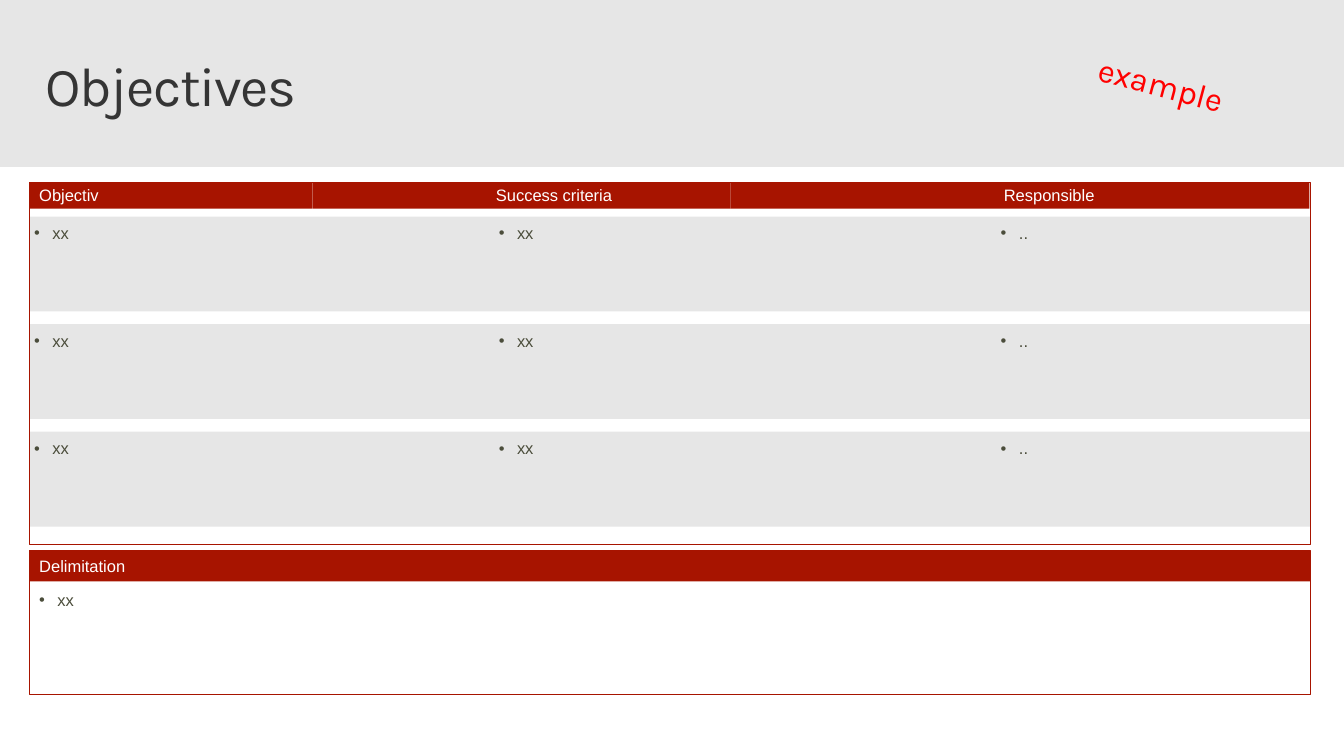
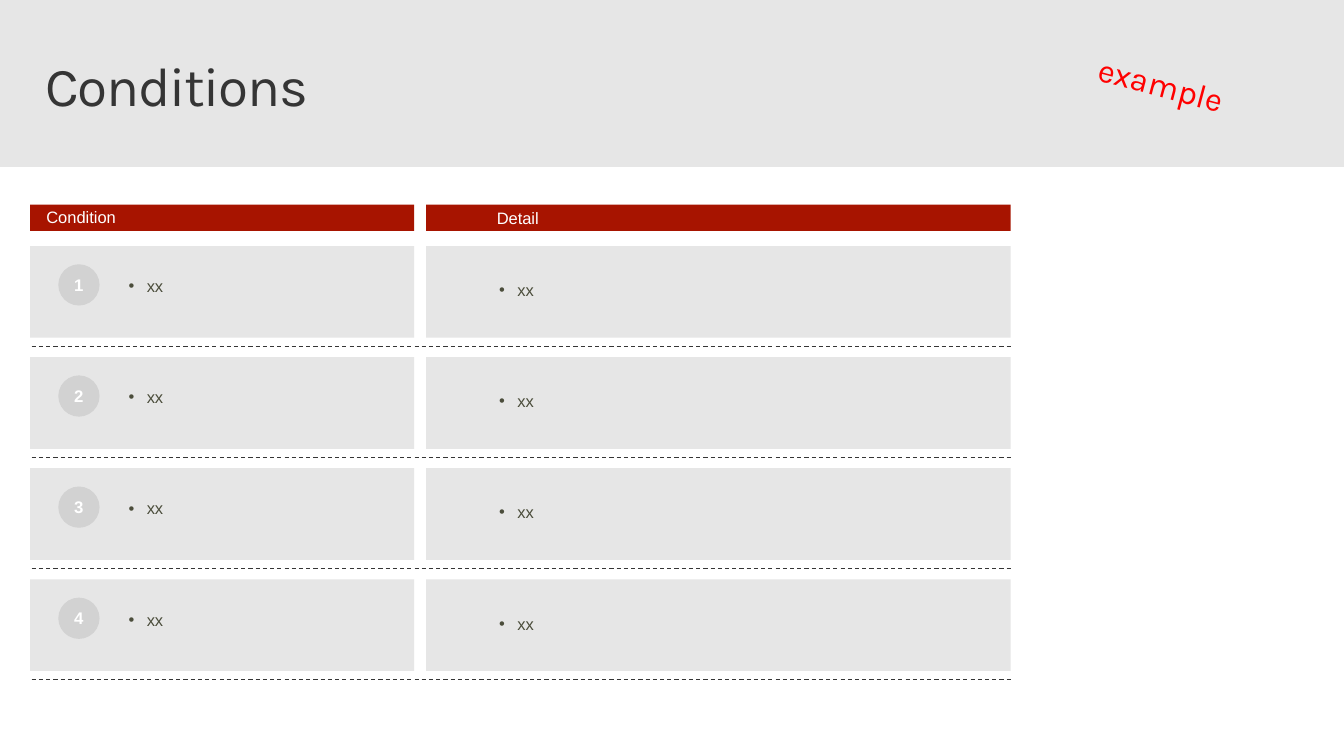
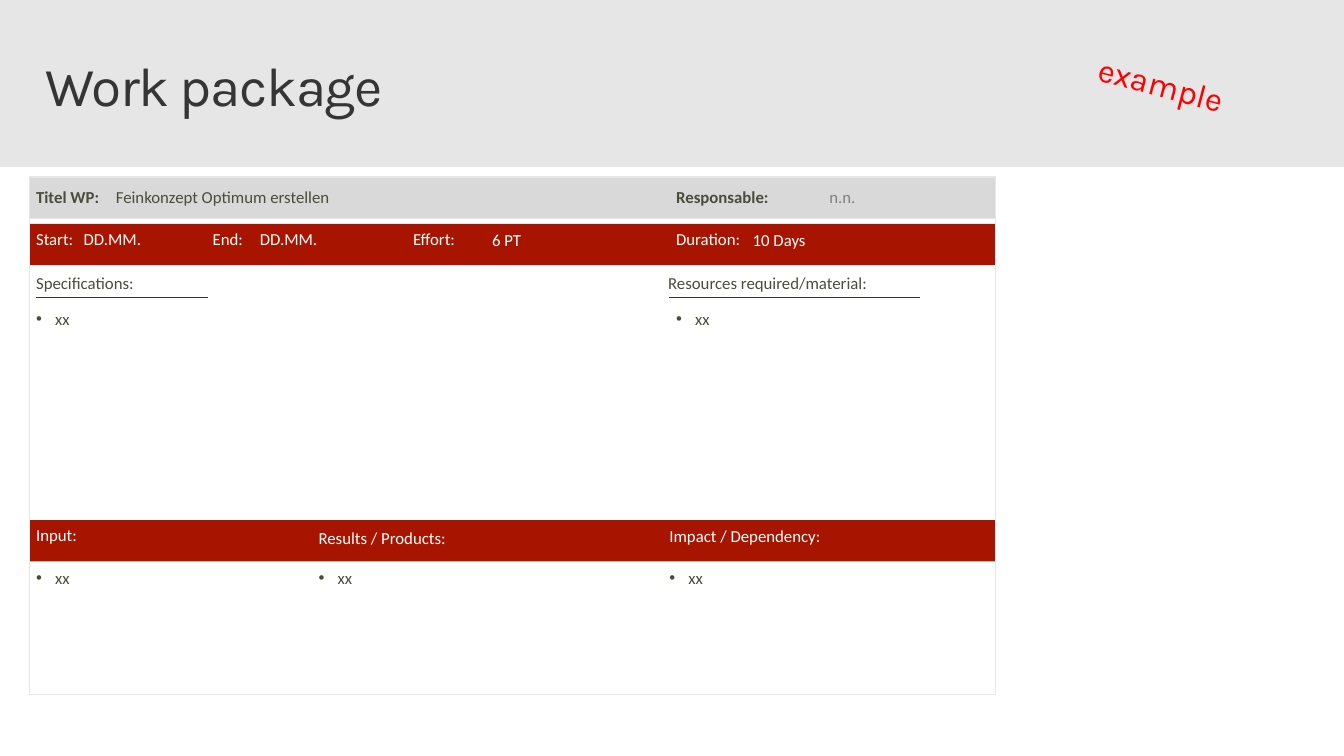
from collections import namedtuple

from lxml.etree import SubElement
from pptx import Presentation
from pptx.dml.color import RGBColor
from pptx.enum.dml import MSO_LINE
from pptx.enum.shapes import MSO_CONNECTOR, MSO_SHAPE
from pptx.enum.text import MSO_ANCHOR, MSO_AUTO_SIZE, PP_ALIGN
from pptx.oxml.ns import qn
from pptx.util import Cm, Pt

COLORS = {
    "paper": "FFFFFF", "light": "E6E6E6", "silver": "D9D9D9", "badge": "D2D2D2",
    "grey": "808080", "dark": "353535", "body": "4B4D3B", "brand": "A71400",
    "alert": "FF0000",
}
Box = namedtuple("Box", "x y w h")
Style = namedtuple("Style", "font size indent")
ARIAL = Style("Arial", 11.8, 0.46)
CALIBRI = Style("Calibri", 12, 0.48)
KARLA_TITLE = Style("Karla", 39.2, 0)
KARLA_TAG = Style("Karla", 23.5, 0)
LINE_H = 0.51


def rgb(name):
    """Return the palette colour of that name."""
    return RGBColor.from_string(COLORS[name])


def cm(*lengths):
    """Convert numbers to centimetre lengths."""
    return [Cm(n) for n in lengths]


def add_run(p, text, style, color, bold=False):
    """Append one formatted run to a paragraph."""
    r = p.add_run()
    r.text = text
    r.font.name = style.font
    r.font.size = Pt(style.size)
    r.font.bold = bold
    r.font.color.rgb = rgb(color)
    return r


def set_margins(tf, x=0, y=0):
    """Set the side and the top and bottom margins of a text frame."""
    tf.margin_left = tf.margin_right = Cm(x)
    tf.margin_top = tf.margin_bottom = Cm(y)


def add_block(s, box, fill=None, line=None, kind=MSO_SHAPE.RECTANGLE):
    """Draw a flat shape with an optional fill and outline."""
    sp = s.shapes.add_shape(kind, *cm(*box))
    sp.shadow.inherit = False
    if fill:
        sp.fill.solid()
        sp.fill.fore_color.rgb = rgb(fill)
    else:
        sp.fill.background()
    if line:
        sp.line.color.rgb = rgb(line)
        sp.line.width = Pt(0.75)
    else:
        sp.line.fill.background()
    return sp


def add_text(s, x, y, w, text, style, color="body", bold=False):
    """Place one line of text and return its paragraph."""
    tf = s.shapes.add_textbox(*cm(x, y, w, LINE_H)).text_frame
    tf.word_wrap = True
    set_margins(tf)
    p = tf.paragraphs[0]
    add_run(p, text, style, color, bold)
    return p


def add_bullet(s, x, y, w, text, style):
    """Place one bulleted line with a hanging indent."""
    pPr = add_text(s, x, y, w, text, style)._p.get_or_add_pPr()
    pPr.set("marL", str(Cm(style.indent)))
    pPr.set("indent", str(-Cm(style.indent)))
    SubElement(pPr, qn("a:buFont"), typeface="Arial")
    SubElement(pPr, qn("a:buChar"), char="•")


def add_rule(s, x, y, w, dash=None):
    """Draw a thin horizontal line."""
    line = s.shapes.add_connector(MSO_CONNECTOR.STRAIGHT, *cm(x, y, x + w, y))
    line.line.color.rgb = rgb("dark")
    line.line.width = Pt(0.75)
    if dash:
        line.line.dash_style = dash
    SubElement(line._element.spPr, qn("a:effectLst"))


def setup_master(prs):
    """Give the master its background and panel, and place the layout title."""
    master, layout = prs.slide_master, prs.slide_layouts[5]
    master.background.fill.solid()
    master.background.fill.fore_color.rgb = rgb("light")
    title = layout.placeholders[0]
    title.left, title.top, title.width, title.height = cm(0.74, 1.22, 32.11, 2.01)
    return layout


def move_to_master(prs, sp):
    """Put a shape behind everything on the slide master."""
    prs.slide_master.shapes.element.insert(2, sp.element)


def add_slide(prs, layout, title):
    """Add a slide with its title and the tilted tag."""
    s = prs.slides.add_slide(layout)
    tf = s.shapes.title.text_frame
    tf.word_wrap = True
    tf.auto_size = MSO_AUTO_SIZE.NONE
    tf.vertical_anchor = MSO_ANCHOR.MIDDLE
    set_margins(tf, 0.41, 0.25)
    p = tf.paragraphs[0]
    p.alignment = PP_ALIGN.LEFT
    p.line_spacing = 0.9
    r = add_run(p, title, KARLA_TITLE, "dark")
    r._r.get_or_add_rPr().set("spc", "-100")

    tag = s.shapes.add_textbox(*cm(27.13, 1.37, 4.65, 1.7))
    tag.rotation = 15
    tag.text_frame.word_wrap = True
    set_margins(tag.text_frame, 0.51, 0.41)
    p = tag.text_frame.paragraphs[0]
    p.line_spacing = 0.9
    p.space_after = Pt(5.9)
    add_run(p, "example", KARLA_TAG, "alert")
    return s


def objectives_grid(s, box):
    """Framed grid of objectives: three columns over three bands."""
    # heading, bar offset, bar width, heading offset, item offset, item width, item
    columns = [
        ("Objectiv", 0, 7.13, 0.25, 0.12, 6.65, "xx"),
        ("Success criteria", 7.13, 10.54, 11.76, 11.83, 10.31, "xx"),
        ("Responsible", 17.67, 14.59, 24.56, 24.48, 4.32, ".."),
    ]
    bands = [box.y + 0.86 + i * 2.71 for i in range(3)]
    for y in bands:
        add_block(s, Box(box.x, y, box.w, 2.39), "light")
    add_block(s, box, line="brand")
    for heading, bar_x, bar_w, head_x, item_x, item_w, item in columns:
        add_block(s, Box(box.x + bar_x, box.y, bar_w, 0.66), "brand")
        add_text(s, box.x + head_x, box.y + 0.05, 5.6, heading, ARIAL, "paper")
        for y in bands:
            add_bullet(s, box.x + item_x, y + 0.17, item_w, item, ARIAL)


def delimitation_panel(s, box):
    """Framed panel with a heading bar and one list."""
    add_block(s, box, line="brand")
    add_block(s, Box(box.x, box.y + 0.02, box.w, 0.76), "brand")
    add_text(s, box.x + 0.25, box.y + 0.15, 17.32, "Delimitation", ARIAL, "paper")
    add_bullet(s, box.x + 0.25, box.y + 0.99, 23.93, "xx", ARIAL)


def condition_row(s, box, number, split, detail_x):
    """Numbered condition and its detail, closed by a dashed line."""
    add_block(s, Box(box.x, box.y, 9.68, box.h), "light")
    add_block(s, Box(box.x + split, box.y, box.w - split, box.h), "light")
    badge = add_block(s, Box(box.x + 0.71, box.y + 0.46, 1.04, 1.04), "badge",
                      kind=MSO_SHAPE.OVAL)
    tf = badge.text_frame
    set_margins(tf)
    tf.vertical_anchor = MSO_ANCHOR.MIDDLE
    p = tf.paragraphs[0]
    p.alignment = PP_ALIGN.CENTER
    add_run(p, str(number), ARIAL._replace(size=12), "paper", True)
    add_bullet(s, box.x + 2.48, box.y + 0.76, 6.65, "xx", ARIAL)
    add_bullet(s, box.x + detail_x, box.y + 0.86, 10.31, "xx", ARIAL)
    add_rule(s, box.x + 0.04, box.y + 2.52, box.w, MSO_LINE.DASH)


def conditions_list(s, box):
    """Two heading bars above four condition rows."""
    split, detail_x = 9.98, 11.82
    add_block(s, Box(box.x, box.y, 9.68, 0.66), "brand")
    add_block(s, Box(box.x + split, box.y, box.w - split, 0.66), "brand")
    add_text(s, box.x + 0.41, box.y + 0.05, 4.09, "Condition", ARIAL, "paper")
    add_text(s, box.x + detail_x - 0.06, box.y + 0.07, 5.59, "Detail", ARIAL, "paper")
    for i in range(4):
        row = Box(box.x, box.y + 1.04 + i * 2.8, box.w, 2.31)
        condition_row(s, row, i + 1, split, detail_x)


def labels_bar(s, box, fill, labels, line=None):
    """Coloured bar holding labels given as (x, y, width, text, colour, bold)."""
    add_block(s, box, fill, line)
    for x, y, w, text, color, bold in labels:
        add_text(s, box.x + x, box.y + y, w, text, CALIBRI, color, bold)


def work_package_form(s, box):
    """Form with a title bar, a schedule bar, two lists and a results bar."""
    bar_h = 1.04
    labels_bar(s, Box(box.x, box.y + 0.02, box.w, bar_h), "silver", [
        (0.17, 0.23, 1.8, "Titel WP:", "body", True),
        (2.18, 0.23, 6, "Feinkonzept Optimum erstellen", "body", False),
        (16.3, 0.23, 3.91, "Responsable:", "body", True),
        (20.16, 0.23, 3.38, "n.n.", "grey", False),
    ], "light")
    schedule = [
        (0.17, 0.13, 1.1, "Start:"), (1.37, 0.13, 1.8, "DD.MM."),
        (4.62, 0.13, 1, "End:"), (5.81, 0.13, 1.8, "DD.MM."),
        (9.67, 0.13, 1.4, "Effort:"), (11.66, 0.15, 1, "6 PT"),
        (16.3, 0.13, 1.8, "Duration:"), (18.23, 0.15, 1.6, "10 Days"),
    ]
    labels_bar(s, Box(box.x, box.y + 1.19, box.w, bar_h), "brand",
               [(*label, "paper", False) for label in schedule])

    # heading, offset, rule offset, rule width, list offset, list width
    sections = [
        ("Specifications:", 0.17, 0.17, 4.32, 0.17, 11.94),
        ("Resources required/material:", 16.1, 16.13, 6.32, 16.3, 6),
    ]
    for heading, x, rule_x, rule_w, list_x, list_w in sections:
        add_text(s, box.x + x, box.y + 2.43, 7.29, heading, CALIBRI)
        add_rule(s, box.x + rule_x, box.y + 3.04, rule_w)
        add_bullet(s, box.x + list_x, box.y + 3.34, list_w, "xx", CALIBRI)

    results = [
        (0.17, 0.12, 1.3, "Input:"),
        (7.29, 0.18, 3.6, "Results / Products:"),
        (16.13, 0.14, 4.2, "Impact / Dependency:"),
    ]
    labels_bar(s, Box(box.x, box.y + 8.66, box.w, bar_h), "brand",
               [(*label, "paper", False) for label in results])
    for x, *_ in results:
        add_bullet(s, box.x + x, box.y + 9.85, 7.06, "xx", CALIBRI)
    add_block(s, box, line="light")


prs = Presentation()
prs.slide_width, prs.slide_height = cm(33.87, 19.05)
layout = setup_master(prs)

s = add_slide(prs, layout, "Objectives")
move_to_master(prs, add_block(s, Box(0, 4.21, 33.87, 14.84), "paper"))
objectives_grid(s, Box(0.74, 4.6, 32.28, 9.12))
delimitation_panel(s, Box(0.74, 13.87, 32.28, 3.63))

s = add_slide(prs, layout, "Conditions")
conditions_list(s, Box(0.76, 5.16, 24.71, 13.5))

s = add_slide(prs, layout, "Work package")
work_package_form(s, Box(0.74, 4.45, 24.36, 13.06))

prs.save("out.pptx")
